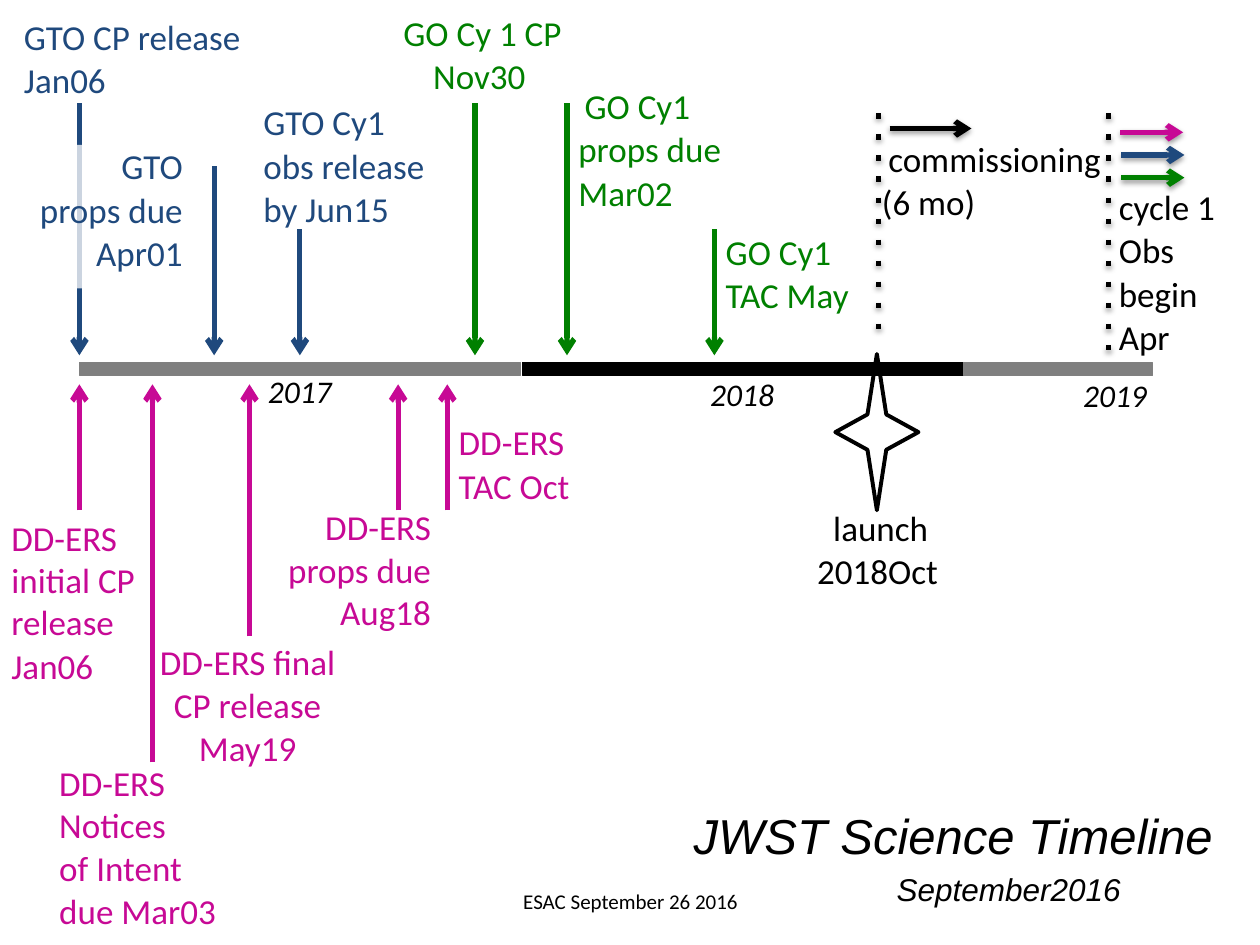
from dataclasses import dataclass
from typing import Any

from lxml.etree import SubElement
from pptx import Presentation
from pptx.dml.color import RGBColor
from pptx.enum.shapes import MSO_CONNECTOR, MSO_SHAPE
from pptx.enum.text import MSO_ANCHOR, MSO_AUTO_SIZE, PP_ALIGN
from pptx.oxml.ns import qn
from pptx.util import Cm, Pt

COLOURS = {
    "gto": "1F497D",
    "go": "008000",
    "ers": "C70995",
    "ink": "000000",
    "grey": "7F7F7F",
    "grey_line": "808080",
    "white": "FFFFFF",
}
LEFT, CENTRE, RIGHT = PP_ALIGN.LEFT, PP_ALIGN.CENTER, PP_ALIGN.RIGHT
CM_PER_INCH = 2.54
ARROW_TOP, ARROW_BOTTOM = 2.82, 3.05
BAR_TOP, BAR_HEIGHT = 2.88, 0.1
NUDGE = 0.05

FRAME = {"word_wrap": True, "margin_left": 0, "margin_right": 0,
         "margin_top": 0, "margin_bottom": 0}
LABEL_FONT = {"name": "Calibri", "size": Pt(20)}
YEAR_FONT = {"name": "Calibri", "size": Pt(18), "italic": True}
TITLE_FONT = {"name": "Arial", "size": Pt(28), "italic": True, "bold": False}
DATE_FONT = {"name": "Arial", "size": Pt(18), "italic": True}
FOOTER_FONT = {"name": "Calibri", "size": Pt(12)}


@dataclass(frozen=True)
class Bar:
    left: float
    width: float
    fill: str
    line: str


@dataclass(frozen=True)
class Milestone:
    x: float
    start: float
    colour: str


@dataclass(frozen=True)
class Marker:
    start: tuple[float, float]
    end: tuple[float, float]
    colour: str


@dataclass(frozen=True)
class Label:
    box: tuple[float, float, float, float]
    lines: tuple[str, ...]
    colour: str
    align: PP_ALIGN = LEFT
    left_indents: tuple[float, ...] = ()
    right_indents: tuple[float, ...] = ()


BARS = [
    Bar(0.63, 3.5, "grey", "grey_line"),
    Bar(4.15, 3.5, "ink", "ink"),
    Bar(7.65, 1.5, "grey", "grey_line"),
]
MILESTONES = [
    Milestone(0.63, 0.82, "gto"),
    Milestone(1.7, 1.32, "gto"),
    Milestone(2.38, 1.82, "gto"),
    Milestone(3.77, 0.82, "go"),
    Milestone(4.5, 0.82, "go"),
    Milestone(5.67, 1.82, "go"),
    Milestone(0.63, 4.05, "ers"),
    Milestone(1.21, 6.05, "ers"),
    Milestone(1.98, 5.05, "ers"),
    Milestone(3.16, 4.05, "ers"),
    Milestone(3.55, 4.05, "ers"),
]
PHASE_LIMITS = [
    Marker((6.97, 0.9), (6.97, 2.7), "ink"),
    Marker((8.8, 0.9), (8.8, 2.9), "ink"),
]
PHASE_ARROWS = [
    Marker((7.06, 1.02), (7.71, 1.02), "ink"),
    Marker((8.89, 1.05), (9.39, 1.05), "ers"),
    Marker((8.9, 1.23), (9.4, 1.23), "gto"),
    Marker((8.9, 1.41), (9.4, 1.41), "go"),
]
GTO_DEADLINE = Label((0.14, 1.15, 1.44, 1.14), ("GTO", "props due", "Apr01"), "gto", RIGHT,
                     right_indents=(0.13, 0.13))
LABELS = [
    Label((0.19, 0.12, 1.91, 0.97), ("GTO CP release", "Jan06"), "gto"),
    Label((2.09, 0.8, 2.69, 1.04), ("GTO Cy1", "obs release", "by Jun15"), "gto"),
    Label((3.12, 0.09, 1.37, 0.9), ("GO Cy 1 CP", "Nov30"), "go", CENTRE, (NUDGE,)),
    Label((4.59, 0.67, 1.9, 1.11), ("GO Cy1", "props due", "Mar02"), "go", LEFT, (NUDGE,)),
    Label((5.76, 1.83, 1.9, 0.84), ("GO Cy1", "TAC May"), "go"),
    Label((7, 1.09, 2.6, 0.42), ("commissioning", "(6 mo)"), "ink", LEFT, (NUDGE,)),
    Label((8.88, 1.47, 1.1, 1.4), ("cycle 1", "Obs", "begin", "Apr"), "ink"),
    Label((6.31, 4.02, 1.31, 0.67), ("launch", "2018Oct"), "ink", CENTRE, (NUDGE,)),
    Label((0.09, 4.1, 1.21, 1.44), ("DD-ERS initial CP release", "Jan06"), "ers"),
    Label((0.47, 6.04, 1.69, 1.4), ("DD-ERS Notices", "of Intent", "due Mar03"), "ers"),
    Label((1.05, 5.08, 1.88, 1.05), ("DD-ERS final", "CP release", "May19"), "ers", CENTRE,
          right_indents=(NUDGE, NUDGE)),
    Label((2.18, 4.01, 1.24, 1.15), ("DD-ERS", "props due Aug18"), "ers", RIGHT),
    Label((3.64, 3.34, 1.69, 1.14), ("DD-ERS", "TAC Oct"), "ers"),
]
YEARS = [
    Label((2.08, 3.04, 0.6, 0.22), ("2017",), "ink", CENTRE),
    Label((5.59, 3.06, 0.6, 0.22), ("2018",), "ink", CENTRE),
    Label((8.55, 3.07, 0.6, 0.22), ("2019",), "ink", CENTRE),
]
TITLE = Label((5.35, 6.34, 4.43, 0.57), ("JWST Science Timeline",), "ink", CENTRE)
DATE = Label((6.9, 6.86, 2.21, 0.4), ("September2016",), "ink", CENTRE)
FOOTER = Label((3.42, 6.95, 3.17, 0.4), ("ESAC September 26 2016",), "ink", CENTRE)


def inches(*values: float) -> list[Cm]:
    return [Cm(value * CM_PER_INCH) for value in values]


def colour(name: str) -> RGBColor:
    return RGBColor.from_string(COLOURS[name])


def apply_format(target: Any, values: dict[str, Any]) -> None:
    for name, value in values.items():
        setattr(target, name, value)


def draw_bar(slide: Any, bar: Bar) -> None:
    shape = slide.shapes.add_shape(
        MSO_SHAPE.RECTANGLE, *inches(bar.left, BAR_TOP, bar.width, BAR_HEIGHT))
    shape.shadow.inherit = False
    shape.fill.solid()
    shape.fill.fore_color.rgb = colour(bar.fill)
    shape.line.color.rgb = colour(bar.line)
    shape.line.width = Pt(0.75)


def draw_star(slide: Any) -> None:
    shape = slide.shapes.add_shape(MSO_SHAPE.STAR_4_POINT, *inches(6.63, 2.81, 0.66, 1.24))
    shape.adjustments[0] = 0.16
    shape.shadow.inherit = False
    shape.fill.background()
    shape.line.color.rgb = colour("ink")
    shape.line.width = Pt(2.25)


def draw_marker(slide: Any, marker: Marker, dotted: bool = False, shadow: bool = False) -> None:
    connector = slide.shapes.add_connector(
        MSO_CONNECTOR.STRAIGHT, *inches(*marker.start, *marker.end))
    connector.line.color.rgb = colour(marker.colour)
    connector.line.width = Pt(3)
    properties = connector.element.spPr
    line = properties.find(qn("a:ln"))
    if dotted:
        SubElement(line, qn("a:prstDash"), val="dot")
    else:
        SubElement(line, qn("a:tailEnd"), type="arrow")
    effects = SubElement(properties, qn("a:effectLst"))
    if shadow:
        outer = SubElement(effects, qn("a:outerShdw"), blurRad=str(Pt(3.1)),
                           dist=str(Pt(1.6)), dir="5400000", rotWithShape="0")
        black = SubElement(outer, qn("a:srgbClr"), val=COLOURS["ink"])
        SubElement(black, qn("a:alpha"), val="38000")


def write_text(shape: Any, label: Label, font: dict[str, Any],
               frame: dict[str, Any] = FRAME) -> None:
    text_frame = shape.text_frame
    apply_format(text_frame, frame)
    text_frame.text = "\n".join(label.lines)
    for index, paragraph in enumerate(text_frame.paragraphs):
        paragraph.alignment = label.align
        paragraph.space_before = Pt(0.8 if index else 0)
        if font is YEAR_FONT:
            paragraph.line_spacing = Pt(15.3)
        apply_format(paragraph.font, font)
        paragraph.font.color.rgb = colour(label.colour)
        indents = {"indent": label.left_indents, "marR": label.right_indents}
        for attribute, values in indents.items():
            if index < len(values):
                properties = paragraph._p.get_or_add_pPr()
                properties.set(attribute, str(inches(values[index])[0]))


def draw_label(slide: Any, label: Label, font: dict[str, Any],
               frame: dict[str, Any] = FRAME) -> None:
    write_text(slide.shapes.add_textbox(*inches(*label.box)), label, font, frame)


def draw_veiled_label(slide: Any, label: Label) -> None:
    shape = slide.shapes.add_shape(MSO_SHAPE.RECTANGLE, *inches(*label.box))
    shape.shadow.inherit = False
    shape.fill.solid()
    shape.fill.fore_color.rgb = colour("white")
    fill = shape.element.spPr.find(qn("a:solidFill"))
    SubElement(fill[0], qn("a:alpha"), val="77000")
    shape.line.fill.background()
    write_text(shape, label, LABEL_FONT, {**FRAME, "vertical_anchor": MSO_ANCHOR.TOP})


def main() -> None:
    presentation = Presentation()
    apply_format(presentation, {"slide_width": Cm(25.4), "slide_height": Cm(19.05)})
    slide = presentation.slides.add_slide(presentation.slide_layouts[5])

    title = slide.shapes.title
    apply_format(title, dict(zip(("left", "top", "width", "height"), inches(*TITLE.box))))
    write_text(title, TITLE, TITLE_FONT, {
        "word_wrap": False, "auto_size": MSO_AUTO_SIZE.NONE, "vertical_anchor": MSO_ANCHOR.TOP})

    draw_star(slide)
    for bar in BARS:
        draw_bar(slide, bar)
    for milestone in MILESTONES:
        end = ARROW_TOP if milestone.start < BAR_TOP else ARROW_BOTTOM
        draw_marker(slide, Marker((milestone.x, milestone.start), (milestone.x, end),
                                  milestone.colour))
    for limit in PHASE_LIMITS:
        draw_marker(slide, limit, dotted=True, shadow=True)
    for arrow in PHASE_ARROWS:
        draw_marker(slide, arrow, shadow=True)

    draw_veiled_label(slide, GTO_DEADLINE)
    for label in LABELS:
        draw_label(slide, label, LABEL_FONT)
    for year in YEARS:
        draw_label(slide, year, YEAR_FONT)
    draw_label(slide, DATE, DATE_FONT, {"word_wrap": False})
    draw_label(slide, FOOTER, FOOTER_FONT,
               {"word_wrap": True, "vertical_anchor": MSO_ANCHOR.MIDDLE})
    presentation.save("out.pptx")


if __name__ == "__main__":
    main()
